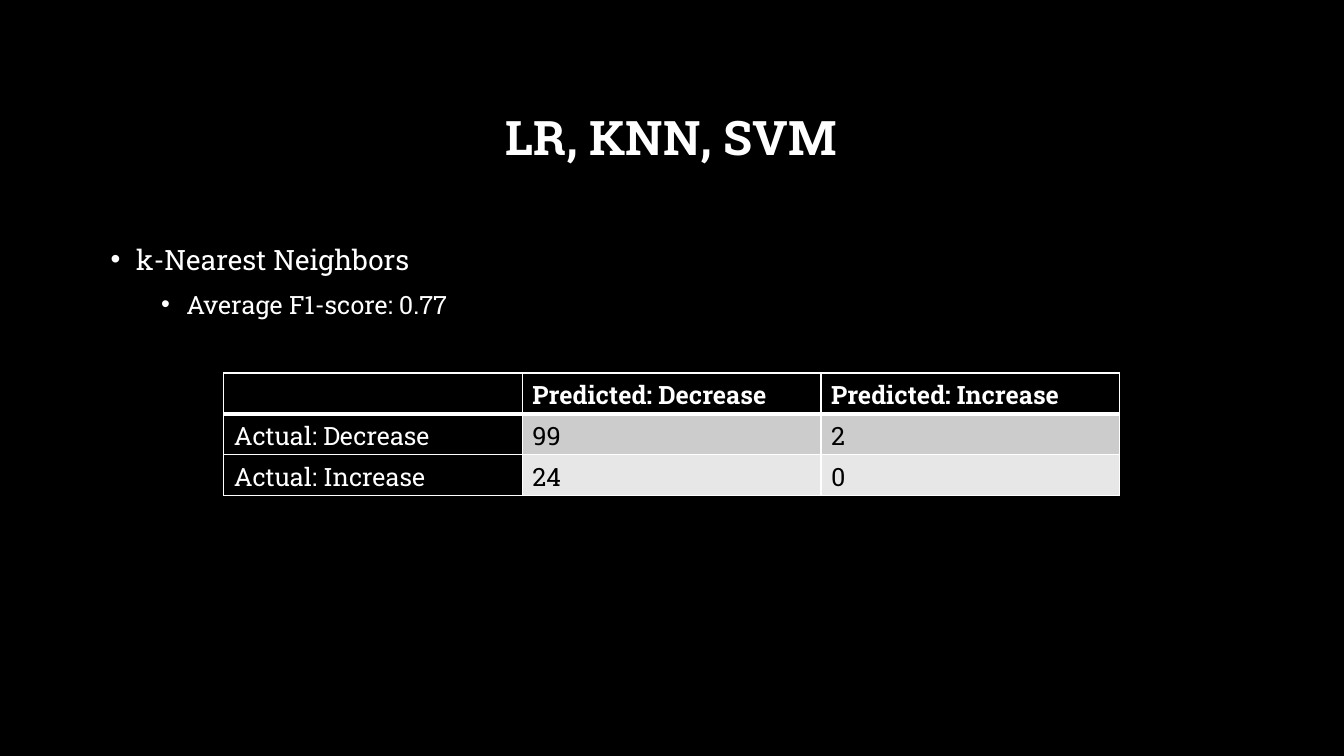
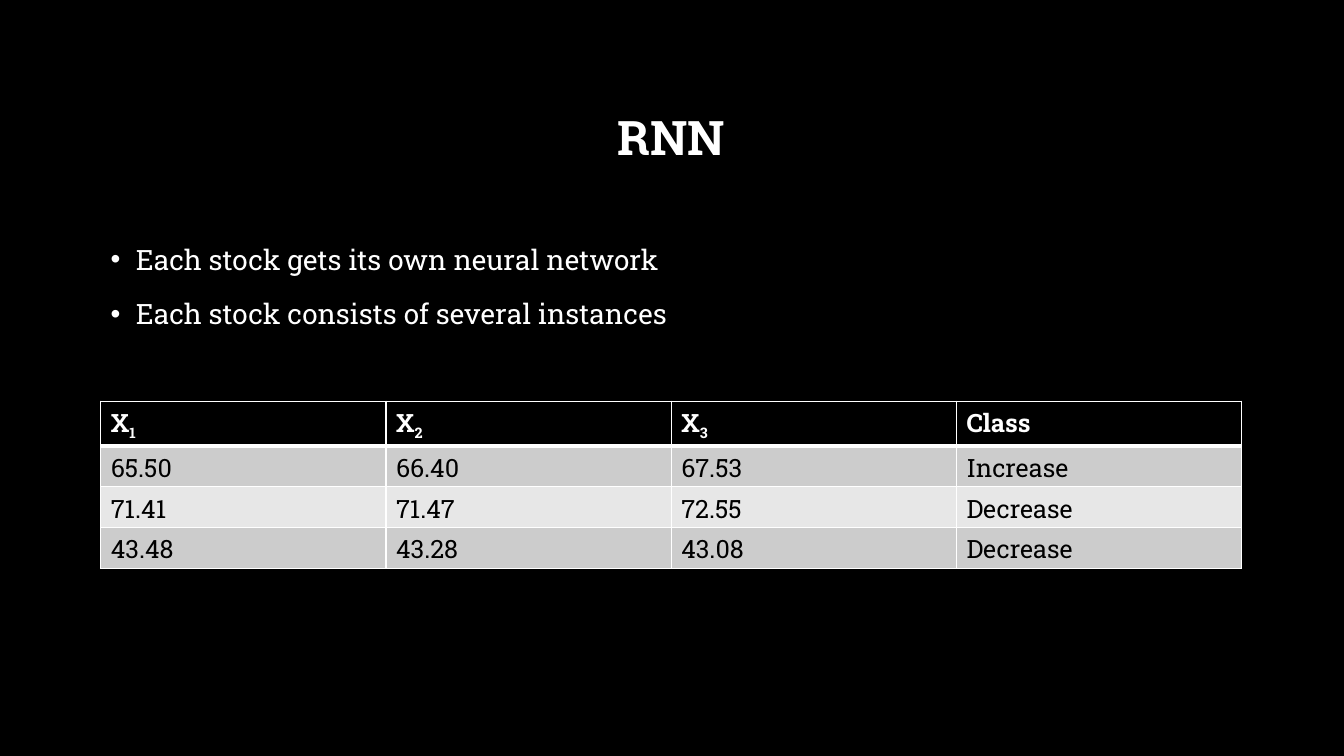
"""Builds two slides on stock classifiers, each with a title, bullets and a table."""
from dataclasses import dataclass

from lxml import etree
from pptx import Presentation
from pptx.dml.color import RGBColor
from pptx.enum import text as t
from pptx.oxml import ns
from pptx.slide import Slide
from pptx.table import _Cell as Cell
from pptx.text import text as tx
from pptx.util import Pt

BLACK = RGBColor(0x00, 0x00, 0x00)
WHITE = RGBColor(0xFF, 0xFF, 0xFF)
BAND_COLOURS = (RGBColor(0xCC, 0xCC, 0xCC), RGBColor(0xE7, 0xE7, 0xE7))
FONT = "Roboto Slab"

CONTENT_LEFT, CONTENT_WIDTH = Pt(72), Pt(815)
TITLE_TOP, TITLE_HEIGHT = Pt(48.2), Pt(104.4)
BODY_TOP, BODY_HEIGHT = Pt(164.9), Pt(290.9)
ROW_HEIGHT = Pt(29.2)
THIN, THICK = Pt(1), Pt(3)


@dataclass(frozen=True)
class BulletStyle:
    """Size and spacing of one bullet level."""
    size: Pt
    margin: Pt
    space_before: Pt


@dataclass(frozen=True)
class Bullet:
    """One bulleted line and its level."""
    text: str
    level: int = 0


@dataclass(frozen=True)
class TableData:
    """Place and cells of a table; an underscore in a cell starts a subscript."""
    left: Pt
    top: Pt
    width: Pt
    rows: tuple[tuple[str, ...], ...]
    row_headings: bool = False


@dataclass(frozen=True)
class SlideContent:
    """Everything that differs between the slides."""
    title: str
    bullets: tuple[Bullet, ...]
    table: TableData


BULLET_STYLES = (
    BulletStyle(Pt(20), Pt(18), Pt(10)),
    BulletStyle(Pt(18), Pt(54), Pt(5)),
)

SLIDES = (
    SlideContent(
        "LR, KNN, SVM",
        (Bullet("k-Nearest Neighbors"), Bullet("Average F1-score: 0.77", 1)),
        TableData(Pt(159.8), Pt(266.4), Pt(640), (
            ("", "Predicted: Decrease", "Predicted: Increase"),
            ("Actual: Decrease", "99", "2"),
            ("Actual: Increase", "24", "0"),
        ), row_headings=True),
    ),
    SlideContent(
        "RNN",
        (Bullet("Each stock gets its own neural network"),
         Bullet("Each stock consists of several instances")),
        TableData(CONTENT_LEFT, Pt(286.6), CONTENT_WIDTH, (
            ("X_1", "X_2", "X_3", "Class"),
            ("65.50", "66.40", "67.53", "Increase"),
            ("71.41", "71.47", "72.55", "Decrease"),
            ("43.48", "43.28", "43.08", "Decrease"),
        )),
    ),
)


def format_runs(paragraph: tx._Paragraph, size: Pt, colour: RGBColor,
                bold: bool = False) -> None:
    """Give every run of the paragraph the same font."""
    for run in paragraph.runs:
        run.font.name = FONT
        run.font.size = size
        run.font.bold = bold
        run.font.color.rgb = colour


def add_title(slide: Slide, title: str) -> None:
    """Place and format the title placeholder."""
    shape = slide.shapes.title
    shape.left, shape.top = CONTENT_LEFT, TITLE_TOP
    shape.width, shape.height = CONTENT_WIDTH, TITLE_HEIGHT
    frame = shape.text_frame
    frame.text = title
    frame.auto_size = t.MSO_AUTO_SIZE.NONE
    frame.vertical_anchor = t.MSO_ANCHOR.MIDDLE
    paragraph = frame.paragraphs[0]
    paragraph.alignment = t.PP_ALIGN.CENTER
    paragraph.line_spacing = 0.9
    format_runs(paragraph, Pt(34), WHITE, bold=True)


def add_bullets(slide: Slide, bullets: tuple[Bullet, ...]) -> None:
    """Add the bulleted text below the title."""
    frame = slide.shapes.add_textbox(
        CONTENT_LEFT, BODY_TOP, CONTENT_WIDTH, BODY_HEIGHT).text_frame
    frame.word_wrap = True
    frame.text = "\n".join(bullet.text for bullet in bullets)
    for paragraph, bullet in zip(frame.paragraphs, bullets):
        style = BULLET_STYLES[bullet.level]
        paragraph.level = bullet.level
        paragraph.line_spacing = 1.2
        paragraph.space_before = style.space_before
        format_runs(paragraph, style.size, WHITE)
        properties = paragraph._p.get_or_add_pPr()
        properties.set("marL", str(style.margin))
        properties.set("indent", str(-Pt(18)))
        etree.SubElement(properties, ns.qn("a:buFont"), typeface="Arial")
        etree.SubElement(properties, ns.qn("a:buChar"), char="•")


def set_borders(cell: Cell, top: Pt, bottom: Pt) -> None:
    """Draw white borders; call this before filling the cell."""
    properties = cell._tc.get_or_add_tcPr()
    for side, width in (("L", THIN), ("R", THIN), ("T", top), ("B", bottom)):
        line = etree.SubElement(properties, ns.qn(f"a:ln{side}"), w=str(width))
        fill = etree.SubElement(line, ns.qn("a:solidFill"))
        etree.SubElement(fill, ns.qn("a:srgbClr"), val=str(WHITE))


def set_cell_text(cell: Cell, text: str, colour: RGBColor, bold: bool) -> None:
    """Write the cell text, with the part after an underscore as subscript."""
    base, _, subscript = text.partition("_")
    paragraph = cell.text_frame.paragraphs[0]
    paragraph.text = base
    if subscript:
        run = paragraph.add_run()
        run.text = subscript
        run.font._element.set("baseline", "-25000")
    format_runs(paragraph, Pt(18), colour, bold)


def add_table(slide: Slide, data: TableData) -> None:
    """Add a table with black headings and banded grey rows."""
    row_count, column_count = len(data.rows), len(data.rows[0])
    table = slide.shapes.add_table(
        row_count, column_count, data.left, data.top,
        data.width, ROW_HEIGHT * row_count).table
    for row_index, row in enumerate(data.rows):
        is_header = row_index == 0
        for column_index, text in enumerate(row):
            cell = table.cell(row_index, column_index)
            is_heading = is_header or (data.row_headings and column_index == 0)
            set_borders(cell, top=THICK if row_index == 1 else THIN,
                        bottom=THICK if is_header else THIN)
            cell.fill.solid()
            cell.fill.fore_color.rgb = (
                BLACK if is_heading else BAND_COLOURS[(row_index - 1) % 2])
            set_cell_text(cell, text, WHITE if is_heading else BLACK, is_header)


def main() -> None:
    """Build and save the presentation."""
    presentation = Presentation()
    presentation.slide_width, presentation.slide_height = Pt(960), Pt(540)
    background = presentation.slide_master.background.fill
    background.solid()
    background.fore_color.rgb = BLACK
    title_only = presentation.slide_layouts.get_by_name("Title Only")
    for content in SLIDES:
        slide = presentation.slides.add_slide(title_only)
        add_title(slide, content.title)
        add_bullets(slide, content.bullets)
        add_table(slide, content.table)
    presentation.save("out.pptx")


main()
